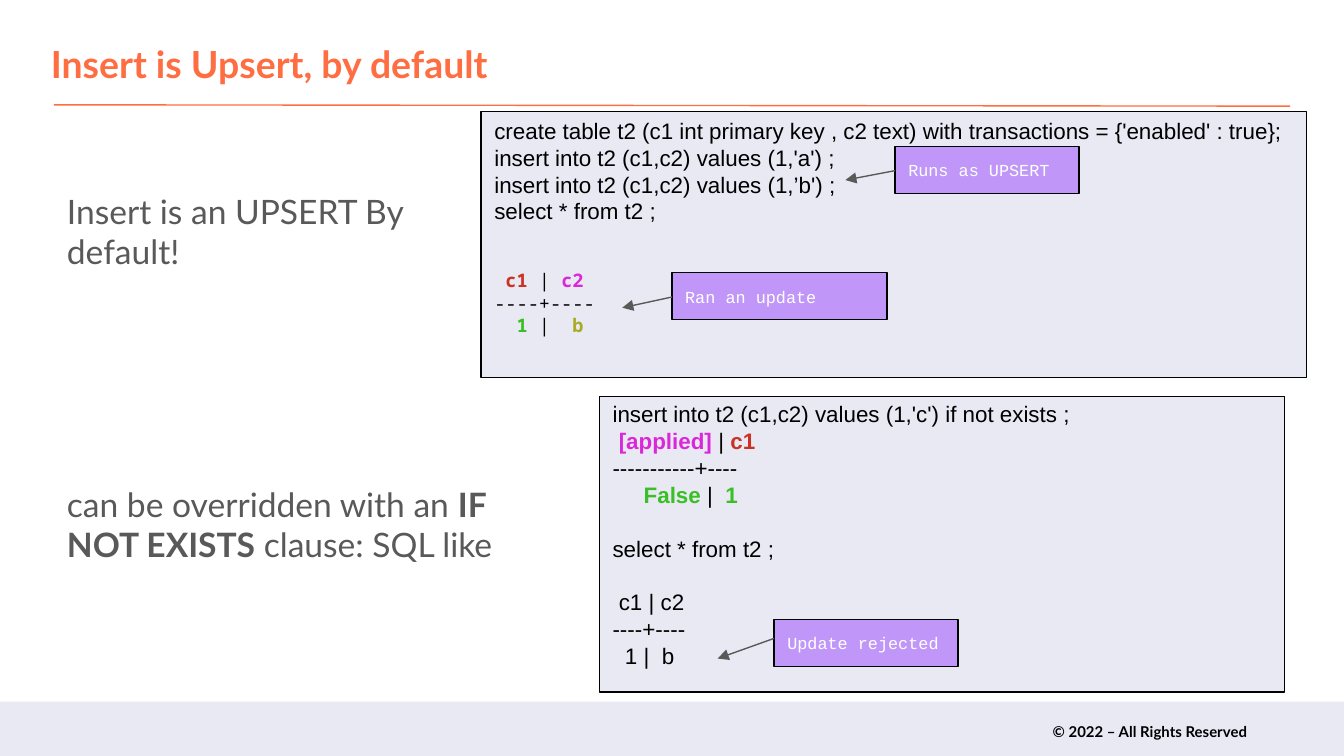
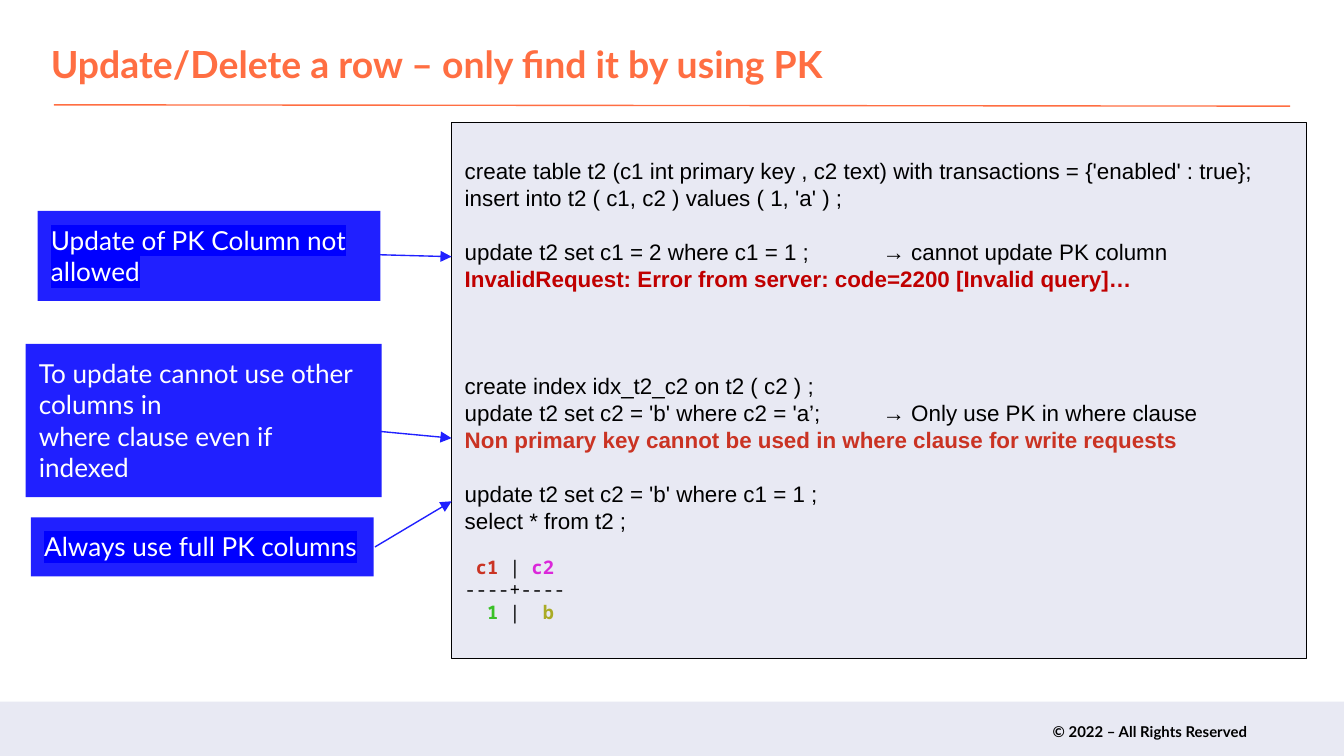
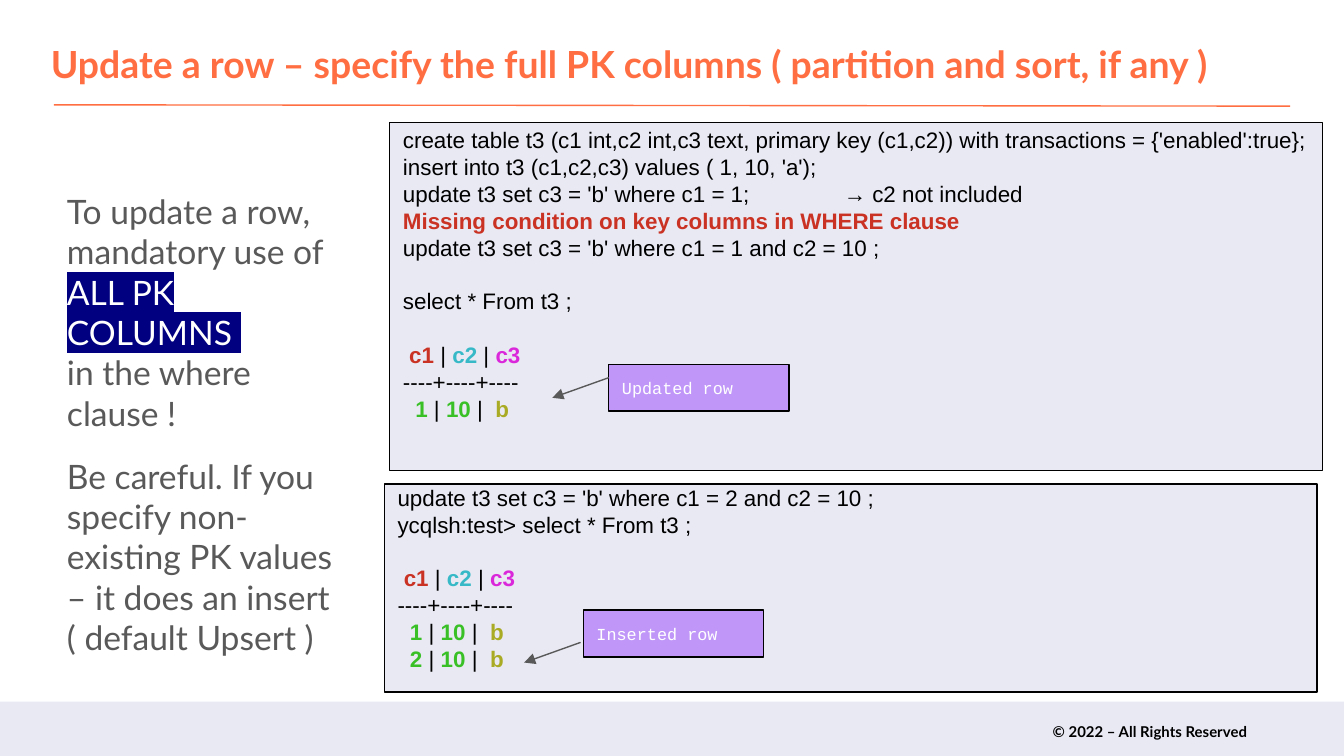
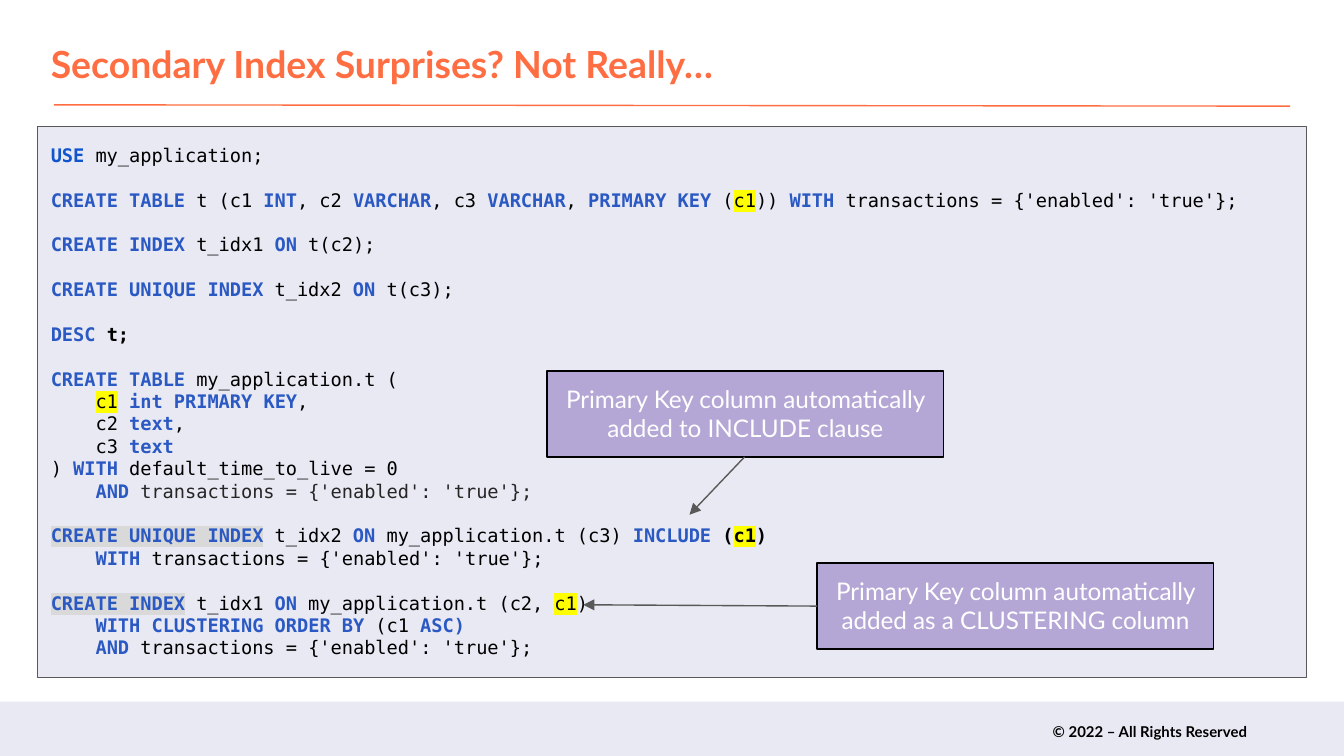
"""Build four slides on insert, update and index behaviour in a distributed SQL store."""
import lxml.etree
import pptx
import pptx.dml.color
import pptx.enum.shapes
import pptx.enum.text
import pptx.oxml.ns
import pptx.util

Inches = pptx.util.Inches
Pt = pptx.util.Pt
qn = pptx.oxml.ns.qn
ALIGN = pptx.enum.text.PP_ALIGN
ANCHOR = pptx.enum.text.MSO_ANCHOR


class Theme:
    orange = "FF6E42"
    panel = "E8E9F3"
    black = "000000"
    white = "FFFFFF"
    gray = "595959"
    violet = "C097F8"
    lavender = "B4A7D6"
    blue = "2020FF"
    heading = "Lato"
    sans = "Arial"
    courier = "Courier New"
    mono = "Noto Sans Mono"
    listing = "DejaVu Sans Mono"
    title_size = 20
    body_size = 18
    rule_size = 14
    note_size = 13
    code_size = 12
    mono_size = 10
    callout_size = 9
    footer_size = 8
    line_width = 0.75
    leading = 1.2
    tones = {
        "red": ("CA3323", True, None),
        "error": ("C00000", True, None),
        "magenta": ("DB27DA", True, None),
        "green": ("39C026", True, None),
        "olive": ("AAAB25", True, None),
        "cyan": ("38B9C7", True, None),
        "stress": (gray, True, None),
        "navy": (white, False, "000080"),
        "use": ("1155CC", True, None),
        "key": ("2B59C3", True, None),
        "key_marked": ("2B59C3", True, "D9D9D9"),
        "strong": (black, True, None),
        "marked": (black, False, "FFFF00"),
        "strong_marked": (black, True, "FFFF00"),
        "soft": ("262626", False, None),
    }


def add_text(slide, lines, left, top, width, height, *, font=Theme.heading, size=Theme.body_size,
             color=Theme.gray, bold=False, highlight=None, fill=None, outline=None,
             align=ALIGN.LEFT, anchor=ANCHOR.TOP, inset_top=0.1, tab=None,
             leading=Theme.leading):
    place = [Inches(v) for v in (left, top, width, height)]
    if fill:
        holder = slide.shapes.add_shape(pptx.enum.shapes.MSO_SHAPE.RECTANGLE, *place)
        holder.shadow.inherit = False
        holder.fill.solid()
        holder.fill.fore_color.rgb = pptx.dml.color.RGBColor.from_string(fill)
        if outline:
            holder.line.color.rgb = pptx.dml.color.RGBColor.from_string(outline)
            holder.line.width = Pt(Theme.line_width)
        else:
            holder.line.fill.background()
    else:
        holder = slide.shapes.add_textbox(*place)
    frame = holder.text_frame
    frame.word_wrap = True
    frame.vertical_anchor = anchor
    frame.margin_left = frame.margin_right = frame.margin_bottom = Inches(0.1)
    frame.margin_top = Inches(inset_top)
    gap = 0
    paragraph = None
    for line in lines:
        if isinstance(line, dict):
            gap = line.get("gap", 0)
            font, size = line.get("font", font), line.get("size", size)
            continue
        paragraph = frame.add_paragraph() if paragraph is not None else frame.paragraphs[0]
        paragraph.alignment = align
        if leading:
            paragraph.line_spacing = Pt(size * leading)
        paragraph.space_before = Pt(gap)
        gap = 0
        if tab:
            stops = lxml.etree.SubElement(paragraph._p.get_or_add_pPr(), qn("a:tabLst"))
            lxml.etree.SubElement(stops, qn("a:tab"), pos=str(Inches(tab)), algn="l")
        for part in [line] if isinstance(line, (str, tuple)) else line:
            tone, words = part if isinstance(part, tuple) else (None, part)
            ink, weight, mark = Theme.tones.get(tone, (color, bold, highlight))
            run = paragraph.add_run()
            run.text = words
            run.font.size = Pt(size)
            run.font.bold = weight
            run.font.color.rgb = pptx.dml.color.RGBColor.from_string(ink)
            if mark:
                marker = lxml.etree.SubElement(run.font._element, qn("a:highlight"))
                lxml.etree.SubElement(marker, qn("a:srgbClr"), val=mark)
            run.font.name = font


def add_line(slide, start, end, color=Theme.gray, arrow=True):
    connector = slide.shapes.add_connector(
        pptx.enum.shapes.MSO_CONNECTOR.STRAIGHT, *[Inches(v) for v in (*start, *end)])
    connector.line.color.rgb = pptx.dml.color.RGBColor.from_string(color)
    connector.line.width = Pt(Theme.line_width)
    properties = connector._element.spPr
    if arrow:
        lxml.etree.SubElement(properties.find(qn("a:ln")), qn("a:tailEnd"), type="triangle")
    lxml.etree.SubElement(properties, qn("a:effectLst"))


deck = pptx.Presentation()
deck.slide_width = Inches(10)
deck.slide_height = Inches(10 * 9 / 16)

titles = [
    "Insert is Upsert, by default",
    "Update/Delete a row – only find it by using PK",
    "Update a row – specify the full PK columns ( partition and sort, if any )",
    "Secondary Index Surprises? Not Really…",
]
for title in titles:
    slide = deck.slides.add_slide(deck.slide_layouts[6])
    add_text(slide, [], 0, 5.22, 10.01, 0.43, fill=Theme.panel)
    add_text(slide, ["© 2022 – All Rights Reserved"], 7.3, 5.26, 2.08, 0.36,
             size=Theme.footer_size, color=Theme.black, bold=True,
             align=ALIGN.RIGHT, anchor=ANCHOR.MIDDLE)
    add_line(slide, (0.4, 0.78), (9.6, 0.79), Theme.orange, arrow=False)
    add_text(slide, [title], 0.28, 0.21, 9.44, 0.52,
             size=Theme.title_size, color=Theme.orange, bold=True)
upsert, primary_key, full_key, indexes = deck.slides

code = dict(font=Theme.sans, size=Theme.code_size, color=Theme.black,
            fill=Theme.panel, outline=Theme.black)
blank_line = dict(gap=Theme.code_size * Theme.leading)
t2_create = "create table t2 (c1 int primary key , c2 text) with transactions = {'enabled' : true};"
t2_result = [
    [" ", ("red", "c1"), " | ", ("magenta", "c2")],
    "----+----",
    ["  ", ("green", "1"), " |  ", ("olive", "b")],
]
t3_result = [
    [" ", ("red", "c1"), " | ", ("cyan", "c2"), " | ", ("magenta", "c3")],
    "----+----+----",
    *[["  ", ("green", c1), " | ", ("green", "10"), " |  ", ("olive", "b")] for c1 in "12"],
]

add_text(upsert, [
    t2_create,
    "insert into t2 (c1,c2) values (1,'a') ;",
    "insert into t2 (c1,c2) values (1,’b') ;",
    "select * from t2 ;",
    dict(gap=24, font=Theme.mono, size=Theme.mono_size),
    *t2_result,
], 3.58, 0.83, 6.14, 1.98, inset_top=0.04, **code)
add_text(upsert, ["Insert is an UPSERT By default!"], 0.4, 1.32, 2.8, 0.81)
add_text(upsert, [["can be overridden with an ", ("stress", "IF NOT EXISTS"), " clause: SQL like"]],
         0.4, 3.5, 3.64, 0.81)
add_text(upsert, [
    "insert into t2 (c1,c2) values (1,'c') if not exists ;",
    [" ", ("magenta", "[applied]"), " | ", ("red", "c1")],
    "-----------+----",
    ["     ", ("green", "False"), " |  ", ("green", "1")],
    blank_line,
    "select * from t2 ;",
    blank_line,
    " c1 | c2",
    "----+----",
    "  1 |  b",
], 4.46, 2.95, 5.1, 2.2, inset_top=0.03, **code)

add_text(primary_key, [
    t2_create,
    "insert into t2 ( c1, c2 ) values ( 1, 'a' ) ;",
    blank_line,
    "update t2 set c1 = 2 where c1 = 1 ;\t→ cannot update PK column",
    ("error", "InvalidRequest: Error from server: code=2200 [Invalid query]…"),
    dict(gap=3 * blank_line["gap"]),
    "create index idx_t2_c2 on t2 ( c2 ) ;",
    "update t2 set c2 = 'b' where c2 = 'a’;\t→ Only use PK in where clause",
    ("red", "Non primary key cannot be used in where clause for write requests"),
    blank_line,
    "update t2 set c2 = 'b' where c1 = 1 ;",
    "select * from t2 ;",
    dict(gap=12, font=Theme.mono, size=Theme.mono_size),
    *t2_result,
], 3.36, 0.91, 6.36, 3.99, inset_top=0.26, tab=3.11, **code)
rules = [
    (["To update cannot use other columns in", "where clause even if indexed"],
     (0.19, 2.56, 2.65, 1.14), None, (2.61, 3.19), (3.36, 3.26)),
    (["Update of PK Column not allowed"],
     (0.28, 1.57, 2.55, 0.67), "0000FF", (2.61, 1.89), (3.36, 1.91)),
    (["Always use full PK columns"],
     (0.23, 3.85, 2.55, 0.44), "0000FF", (2.79, 4.07), (3.36, 3.73)),
]
for rule, place, highlight, start, end in rules:
    add_text(primary_key, rule, *place, size=Theme.rule_size, color=Theme.white,
             highlight=highlight, fill=Theme.blue)
    add_line(primary_key, start, end, Theme.blue)

add_text(full_key, [
    "create table t3 (c1 int,c2 int,c3 text, primary key (c1,c2)) with transactions = {'enabled':true};",
    "insert into t3 (c1,c2,c3) values ( 1, 10, 'a');",
    "update t3 set c3 = 'b' where c1 = 1;\t→ c2 not included",
    ("red", "Missing condition on key columns in WHERE clause"),
    "update t3 set c3 = 'b' where c1 = 1 and c2 = 10 ;",
    blank_line,
    "select * From t3 ;",
    blank_line,
    *t3_result[:3],
], 2.9, 0.91, 6.94, 2.59, inset_top=0.03, tab=3.28, **code)
add_text(full_key, [
    ["To update a row, mandatory use of ", ("navy", "ALL PK COLUMNS ")],
    "in the where clause !",
], 0.4, 1.32, 2.19, 2.02)
add_text(full_key, [
    "Be careful. If you specify non-existing PK values – it does an insert",
    "( default Upsert )",
], 0.4, 3.29, 2.19, 1.72)
add_text(full_key, [
    "update t3 set c3 = 'b' where c1 = 2 and c2 = 10 ;",
    "ycqlsh:test> select * From t3 ;",
    blank_line,
    *t3_result,
], 2.86, 3.6, 6.94, 1.55, inset_top=0, **code)

callouts = [
    (upsert, "Runs as UPSERT", 6.66, 1.09, 1.37, (6.66, 1.27), (6.29, 1.34)),
    (upsert, "Update rejected", 5.76, 4.61, 1.37, (5.76, 4.75), (5.34, 4.9)),
    (upsert, "Ran an update", 5, 2.03, 1.6, (5, 2.21), (4.63, 2.29)),
    (full_key, "Updated row", 4.53, 2.71, 1.34, (4.53, 2.81), (4.11, 2.96)),
    (full_key, "Inserted row", 4.34, 4.54, 1.34, (4.32, 4.78), (3.9, 4.93)),
]
for slide, remark, left, top, width, start, end in callouts:
    add_text(slide, [remark], left, top, width, 0.35, font=Theme.courier, leading=None,
             size=Theme.callout_size, color=Theme.white, fill=Theme.violet, outline=Theme.black)
    add_line(slide, start, end)

enabled = "transactions = {'enabled': 'true'};"
listing_gap = dict(gap=Theme.mono_size * Theme.leading)
add_text(indexes, [
    [("use", "USE "), "my_application;"],
    listing_gap,
    [("key", "CREATE TABLE "), "t (c1 ", ("key", "INT"), ", c2 ", ("key", "VARCHAR"), ", c3 ",
     ("key", "VARCHAR"), ", ", ("key", "PRIMARY KEY"), " (", ("marked", "c1"), "))",
     ("key", " WITH "), enabled],
    listing_gap,
    [("key", "CREATE INDEX "), "t_idx1", ("key", " ON "), "t(c2);"],
    listing_gap,
    [("key", "CREATE UNIQUE INDEX "), "t_idx2", ("key", " ON "), "t(c3);"],
    listing_gap,
    [("key", "DESC "), ("strong", "t;")],
    listing_gap,
    [("key", "CREATE TABLE "), "my_application.t ("],
    ["    ", ("marked", "c1"), " ", ("key", "int PRIMARY KEY"), ","],
    ["    c2 ", ("key", "text"), ","],
    ["    c3 ", ("key", "text")],
    [")", ("key", " WITH "), "default_time_to_live = 0"],
    [("key", "    AND "), ("soft", enabled)],
    listing_gap,
    [("key_marked", "CREATE UNIQUE INDEX"), " t_idx2", ("key", " ON "), "my_application.t (c3)",
     ("key", " INCLUDE "), ("strong", "("), ("strong_marked", "c1"), ("strong", ")")],
    [("key", "    WITH "), enabled],
    listing_gap,
    [("key_marked", "CREATE INDEX"), " t_idx1", ("key", " ON "), "my_application.t (c2, ",
     ("marked", "c1"), ")"],
    [("key", "    WITH CLUSTERING ORDER BY "), "(c1", ("key", " ASC)")],
    [("key", "    AND "), enabled],
], 0.28, 0.94, 9.44, 4.1, font=Theme.listing, size=Theme.mono_size, color=Theme.black,
    fill=Theme.panel, outline=Theme.gray, inset_top=0.13)
notes = [
    ("Primary Key column automatically added to INCLUDE clause",
     4.07, 2.76, (5.54, 3.4), (5.13, 3.83)),
    ("Primary Key column automatically added as a CLUSTERING column",
     6.08, 4.19, (6.08, 4.51), (4.34, 4.5)),
]
for note, left, top, start, end in notes:
    add_text(indexes, [note], left, top, 2.95, 0.64, size=Theme.note_size, color=Theme.white,
             fill=Theme.lavender, outline=Theme.black, align=ALIGN.CENTER)
    add_line(indexes, start, end)

deck.save("out.pptx")
